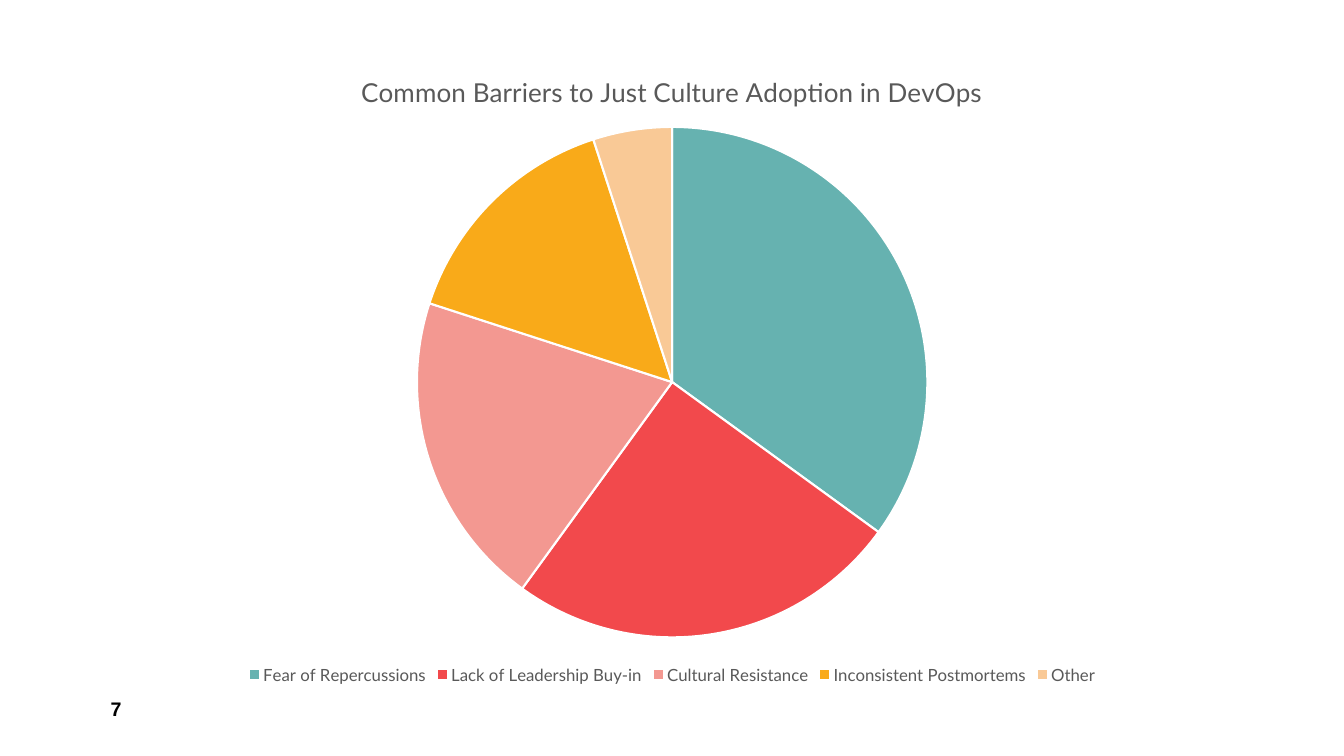
from lxml.etree import SubElement
from pptx import Presentation
from pptx.chart.data import CategoryChartData
from pptx.dml.color import RGBColor
from pptx.enum.chart import XL_CHART_TYPE, XL_LEGEND_POSITION
from pptx.enum.text import MSO_ANCHOR
from pptx.oxml.ns import qn
from pptx.util import Cm, Pt

BLACK = RGBColor(0x00, 0x00, 0x00)
WHITE = RGBColor(0xFF, 0xFF, 0xFF)
GREY = RGBColor(0x59, 0x59, 0x59)
TEAL = RGBColor(0x66, 0xB2, 0xB0)
RED = RGBColor(0xF2, 0x49, 0x4C)
PINK = RGBColor(0xF3, 0x98, 0x91)
AMBER = RGBColor(0xF9, 0xAA, 0x19)
PEACH = RGBColor(0xF9, 0xC9, 0x96)

TITLE = "Common Barriers to Just Culture Adoption in DevOps"
BARRIERS = [
    ("Fear of Repercussions", 35, TEAL),
    ("Lack of Leadership Buy-in", 25, RED),
    ("Cultural Resistance", 20, PINK),
    ("Inconsistent Postmortems", 15, AMBER),
    ("Other", 5, PEACH),
]


def style_font(font, name, size, color, bold=False):
    """Set the typeface, size, colour and weight of a font."""
    font.name = name
    font.size = Pt(size)
    font.color.rgb = color
    font.bold = bold


def place_plot(chart, **fractions):
    """Fix the plot area at fractions of the chart's size."""
    plot_area = chart._chartSpace.chart.plotArea
    layout = plot_area.find(qn("c:layout"))
    if layout is None:
        layout = SubElement(plot_area, qn("c:layout"))
        plot_area.insert(0, layout)
    manual = SubElement(layout, qn("c:manualLayout"))
    settings = {"layoutTarget": "inner", "xMode": "edge", "yMode": "edge", **fractions}
    for tag, value in settings.items():
        SubElement(manual, qn(f"c:{tag}")).set("val", str(value))


def add_barrier_pie(slide):
    """Add the pie chart of barriers with its title and legend."""
    names, shares, colors = zip(*BARRIERS)
    data = CategoryChartData()
    data.categories = names
    data.add_series(TITLE, shares)
    chart = slide.shapes.add_chart(
        XL_CHART_TYPE.PIE, Cm(2.87), Cm(1.27), Cm(28.14), Cm(16.08), data
    ).chart
    style_font(chart.font, "Lato", 10, BLACK)

    chart.has_title = True
    title_frame = chart.chart_title.text_frame
    title_frame.text = TITLE
    style_font(title_frame.paragraphs[0].runs[0].font, "Lato", 18.6, GREY)
    chart.chart_title.include_in_layout = False

    chart.has_legend = True
    chart.legend.position = XL_LEGEND_POSITION.BOTTOM
    chart.legend.include_in_layout = False
    style_font(chart.legend.font, "Lato", 12, GREY)

    plot = chart.plots[0]
    plot.vary_by_categories = True
    for index, color in enumerate(colors):
        slice_format = plot.series[0].points[index].format
        slice_format.fill.solid()
        slice_format.fill.fore_color.rgb = color
        slice_format.line.color.rgb = WHITE
        slice_format.line.width = Pt(1.5)
    place_plot(chart, x=0.27, y=0.12, w=0.46, h=0.8)


def add_page_number(slide, number):
    """Add the page number at the lower left."""
    text_frame = slide.shapes.add_textbox(
        Cm(2.54), Cm(17.35), Cm(3.3), Cm(1.02)
    ).text_frame
    text_frame.word_wrap = True
    text_frame.vertical_anchor = MSO_ANCHOR.MIDDLE
    text_frame.text = number
    style_font(text_frame.paragraphs[0].runs[0].font, "Arial", 14, BLACK, True)


def main():
    """Build the slide and save the presentation."""
    presentation = Presentation()
    presentation.slide_width = Cm(33.87)
    presentation.slide_height = Cm(19.05)
    slide = presentation.slides.add_slide(presentation.slide_layouts[6])
    add_page_number(slide, "7")
    add_barrier_pie(slide)
    presentation.save("out.pptx")


if __name__ == "__main__":
    main()
